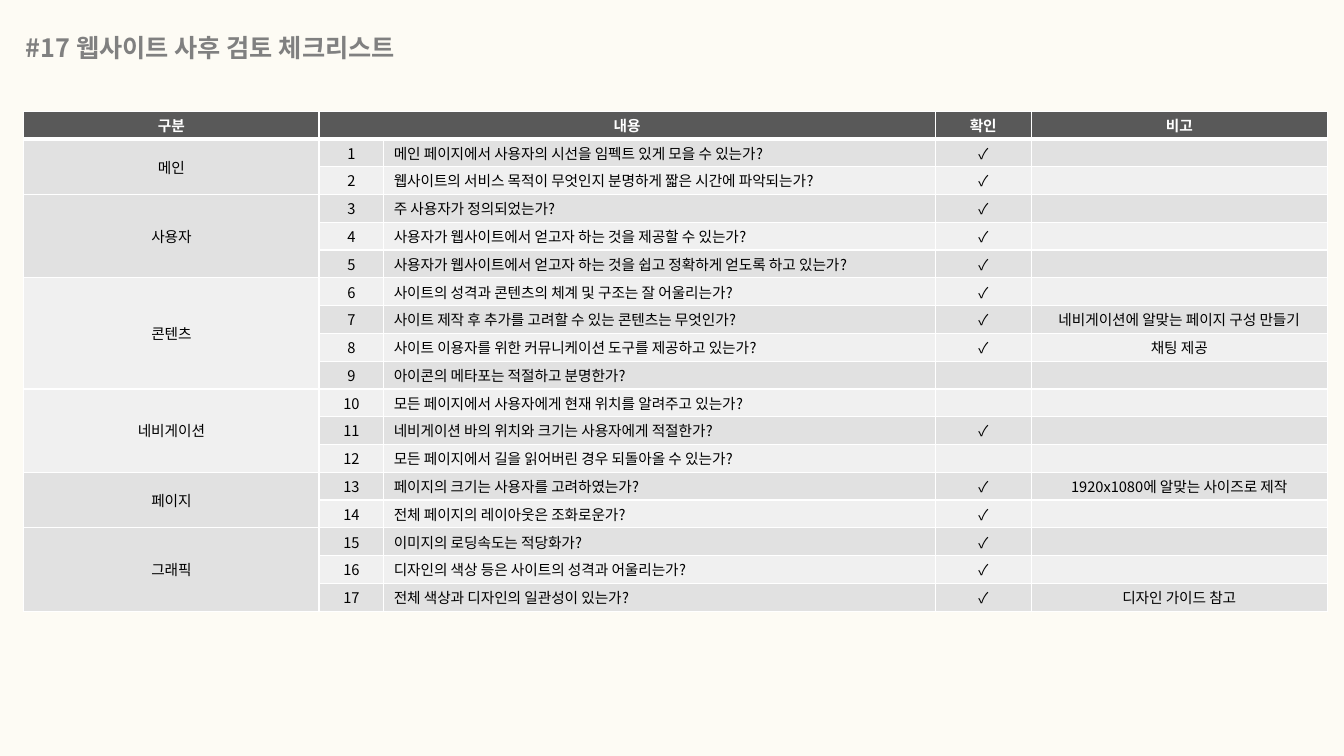
"""Build the website review checklist slide."""
from dataclasses import dataclass

from lxml import etree
from pptx import Presentation
from pptx import util as u
from pptx.dml.color import RGBColor
from pptx.enum import text
from pptx.oxml import ns

FONT = "Noto Sans CJK KR"
CREAM = RGBColor(0xFD, 0xFB, 0xF4)
GREY = RGBColor(0x80, 0x80, 0x80)
CHARCOAL = RGBColor(0x59, 0x59, 0x59)
DARK_BAND = RGBColor(0xE1, 0xE1, 0xE1)
LIGHT_BAND = RGBColor(0xF0, 0xF0, 0xF0)
WHITE = RGBColor(0xFF, 0xFF, 0xFF)
BLACK = RGBColor(0x00, 0x00, 0x00)

COLUMN_WIDTHS = (7.44, 1.63, 13.9, 2.42, 7.46)
ROW_HEIGHT = 0.7
HEADERS = ("구분", "내용", "", "확인", "비고")
QUESTION_COLUMN = 2


@dataclass(frozen=True)
class Check:
    """One question of the checklist."""

    question: str
    done: bool = True
    remark: str = ""


@dataclass(frozen=True)
class Category:
    """A named group of questions."""

    name: str
    checks: tuple[Check, ...]


CATEGORIES = (
    Category("메인", (
        Check("메인 페이지에서 사용자의 시선을 임펙트 있게 모을 수 있는가?"),
        Check("웹사이트의 서비스 목적이 무엇인지 분명하게 짧은 시간에 파악되는가?"),
    )),
    Category("사용자", (
        Check("주 사용자가 정의되었는가?"),
        Check("사용자가 웹사이트에서 얻고자 하는 것을 제공할 수 있는가?"),
        Check("사용자가 웹사이트에서 얻고자 하는 것을 쉽고 정확하게 얻도록 하고 있는가?"),
    )),
    Category("콘텐츠", (
        Check("사이트의 성격과 콘텐츠의 체계 및 구조는 잘 어울리는가?"),
        Check("사이트 제작 후 추가를 고려할 수 있는 콘텐츠는 무엇인가?",
              remark="네비게이션에 알맞는 페이지 구성 만들기"),
        Check("사이트 이용자를 위한 커뮤니케이션 도구를 제공하고 있는가?", remark="채팅 제공"),
        Check("아이콘의 메타포는 적절하고 분명한가?", done=False),
    )),
    Category("네비게이션", (
        Check("모든 페이지에서 사용자에게 현재 위치를 알려주고 있는가?", done=False),
        Check("네비게이션 바의 위치와 크기는 사용자에게 적절한가?"),
        Check("모든 페이지에서 길을 읽어버린 경우 되돌아올 수 있는가?", done=False),
    )),
    Category("페이지", (
        Check("페이지의 크기는 사용자를 고려하였는가?", remark="1920x1080에 알맞는 사이즈로 제작"),
        Check("전체 페이지의 레이아웃은 조화로운가?"),
    )),
    Category("그래픽", (
        Check("이미지의 로딩속도는 적당화가?"),
        Check("디자인의 색상 등은 사이트의 성격과 어울리는가?"),
        Check("전체 색상과 디자인의 일관성이 있는가?", remark="디자인 가이드 참고"),
    )),
)


def format_paragraph(paragraph, size: float, color: RGBColor, bold: bool, alignment) -> None:
    """Set the font and alignment of a paragraph."""
    paragraph.alignment = alignment
    font = paragraph.font
    font.name, font.size, font.bold = FONT, u.Pt(size), bold
    font.color.rgb = color
    etree.SubElement(font._rPr, ns.qn("a:ea"), typeface=FONT)
    if not paragraph.runs:
        etree.SubElement(paragraph._p, ns.qn("a:endParaRPr"), sz=str(int(size * 100)))


def add_borders(cell, bottom_width: float) -> None:
    """Draw white borders around a cell."""
    properties = cell._tc.get_or_add_tcPr()
    widths = {"lnL": 1, "lnR": 1, "lnT": 1, "lnB": bottom_width}
    for position, (side, width) in enumerate(widths.items()):
        line = etree.Element(ns.qn(f"a:{side}"), w=str(u.Pt(width)))
        fill = etree.SubElement(line, ns.qn("a:solidFill"))
        etree.SubElement(fill, ns.qn("a:srgbClr"), val=str(WHITE))
        properties.insert(position, line)


def fill_row(table, row: int, values: tuple[str, ...]) -> None:
    """Write and format one table row."""
    header = row == 0
    band = CHARCOAL if header else DARK_BAND if row % 2 else LIGHT_BAND
    for column, value in enumerate(values):
        cell = table.cell(row, column)
        cell.text = value
        cell.vertical_anchor = text.MSO_ANCHOR.MIDDLE
        cell.margin_top = cell.margin_bottom = u.Cm(0.07)
        cell.fill.solid()
        cell.fill.fore_color.rgb = band
        left = column == QUESTION_COLUMN and not header
        format_paragraph(cell.text_frame.paragraphs[0], 10.5, WHITE if header else BLACK, header,
                         text.PP_ALIGN.LEFT if left else text.PP_ALIGN.CENTER)
        add_borders(cell, 3 if header else 1)


def add_title(slide) -> None:
    """Place and format the slide title."""
    title = slide.shapes.title
    title.left, title.top, title.width, title.height = u.Cm(0.4), u.Cm(0.69), u.Cm(10.9), u.Cm(1.02)
    frame = title.text_frame
    frame.text = "#17 웹사이트 사후 검토 체크리스트"
    frame.word_wrap = False
    frame.auto_size = text.MSO_AUTO_SIZE.SHAPE_TO_FIT_TEXT
    format_paragraph(frame.paragraphs[0], 18, GREY, True, text.PP_ALIGN.LEFT)


def add_checklist(slide) -> None:
    """Add the checklist table with its merged category cells."""
    row_count = 1 + sum(len(category.checks) for category in CATEGORIES)
    table = slide.shapes.add_table(
        row_count, len(COLUMN_WIDTHS), u.Cm(0.6), u.Cm(2.8),
        u.Cm(sum(COLUMN_WIDTHS)), u.Cm(ROW_HEIGHT * row_count)).table
    table.horz_banding = False
    for column, width in zip(table.columns, COLUMN_WIDTHS):
        column.width = u.Cm(width)

    fill_row(table, 0, HEADERS)
    table.cell(0, 1).merge(table.cell(0, QUESTION_COLUMN))
    row = 1
    for category in CATEGORIES:
        first_row = row
        for check in category.checks:
            name = category.name if row == first_row else ""
            mark = "✓" if check.done else ""
            fill_row(table, row, (name, str(row), check.question, mark, check.remark))
            row += 1
        table.cell(first_row, 0).merge(table.cell(row - 1, 0))


def main() -> None:
    """Create and save the presentation."""
    presentation = Presentation()
    presentation.slide_width, presentation.slide_height = u.Cm(33.87), u.Cm(19.05)
    slide = presentation.slides.add_slide(presentation.slide_layouts[5])
    slide.background.fill.solid()
    slide.background.fill.fore_color.rgb = CREAM
    add_title(slide)
    add_checklist(slide)
    presentation.save("out.pptx")


if __name__ == "__main__":
    main()
